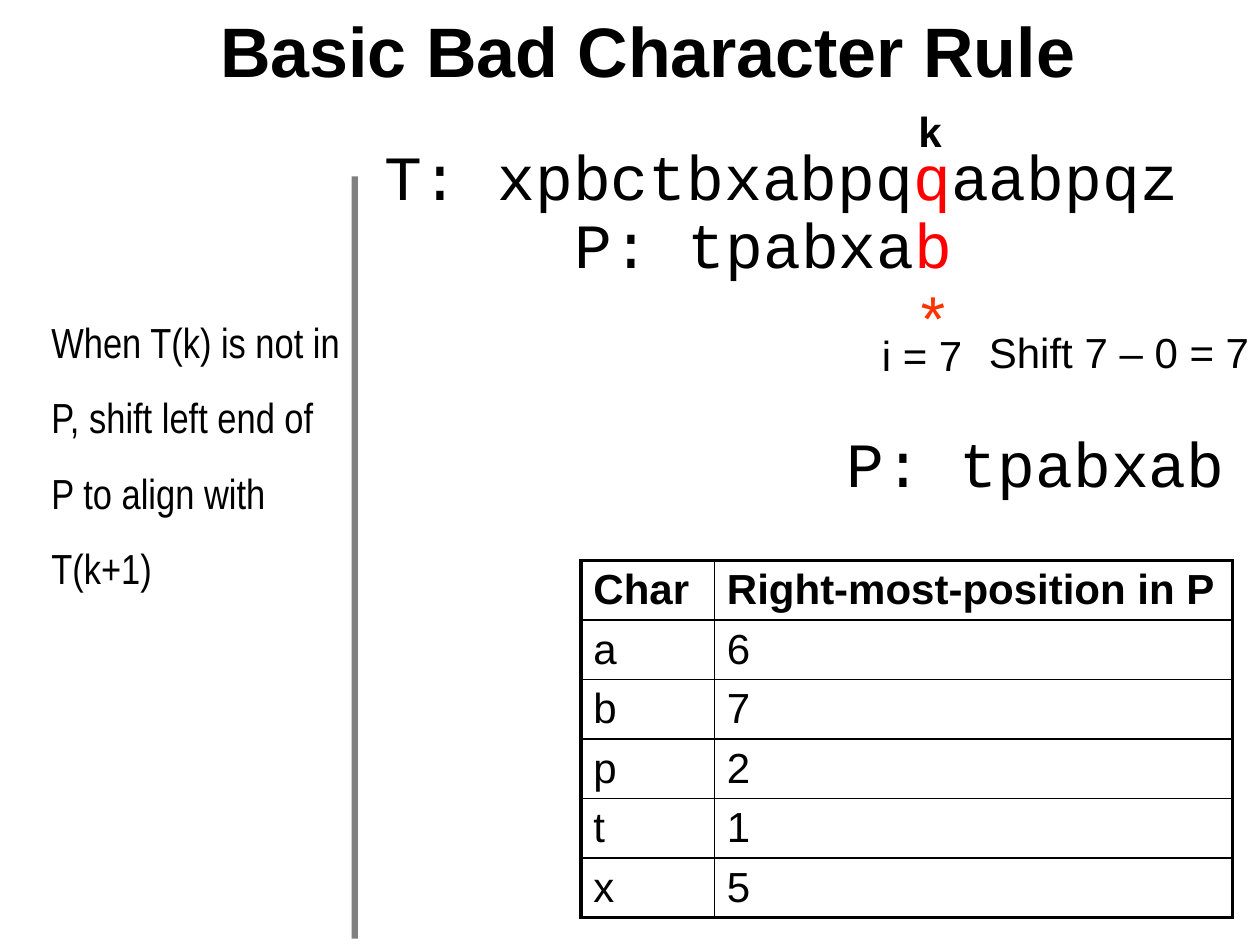
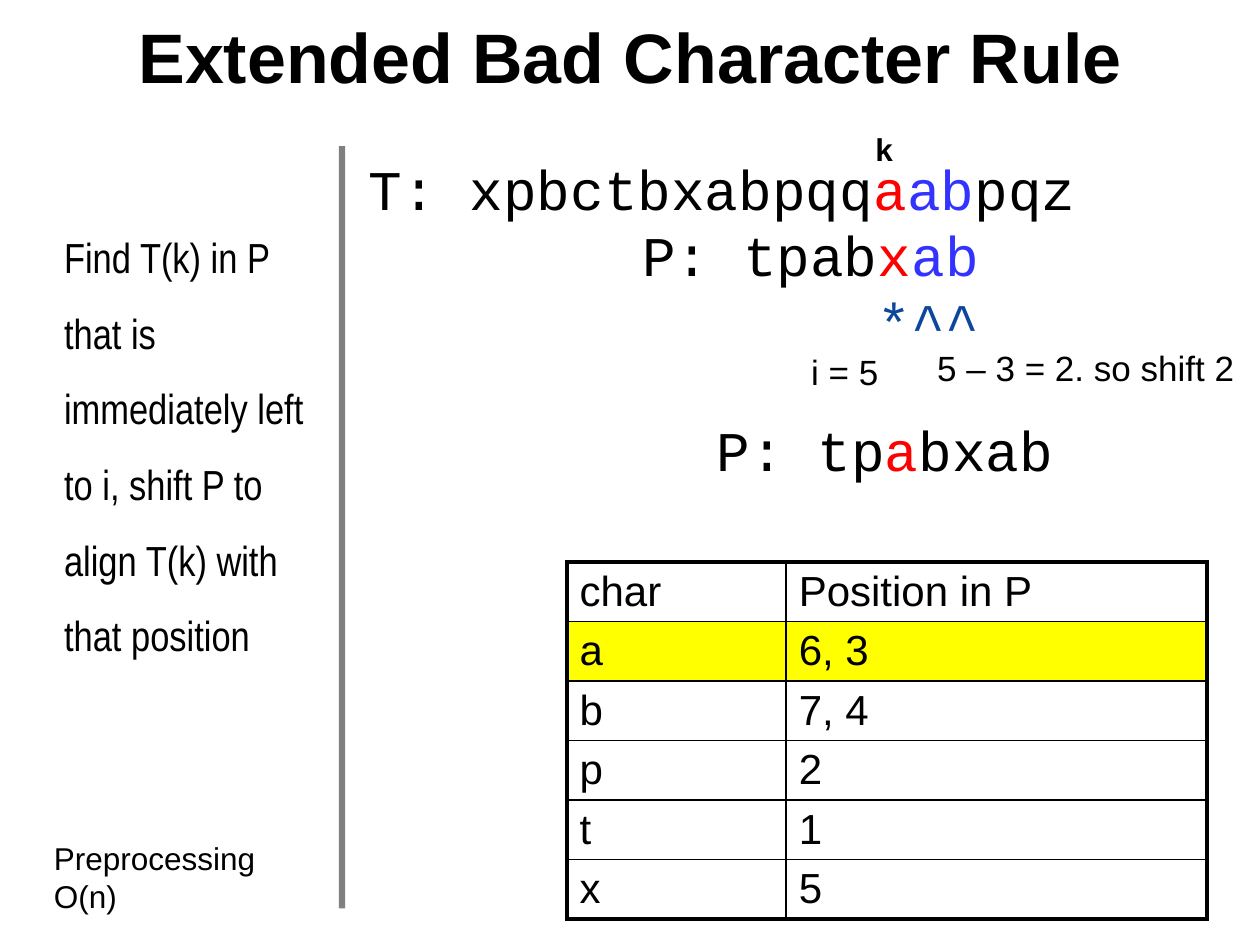
from dataclasses import dataclass
from lxml.etree import SubElement
from pptx import Presentation
from pptx.dml.color import RGBColor
from pptx.enum.shapes import MSO_SHAPE
from pptx.enum.text import MSO_ANCHOR, MSO_AUTO_SIZE, PP_ALIGN
from pptx.oxml.ns import qn
from pptx.util import Inches, Pt


@dataclass(frozen=True)
class Theme:
    black: str = "000000"
    red: str = "FF0000"
    orange: str = "FF3300"
    blue: str = "3333FF"
    navy: str = "0C479D"
    grey: str = "808080"
    yellow: str = "FFFF00"
    sans: str = "Arial"
    narrow: str = "Arial Narrow"
    mono: str = "Courier New"
    title: int = 40
    body: int = 24
    outer: float = 2.25
    inner: float = 1


T = Theme()


def add_text(slide, box, lines, size, font=T.sans, bold=False, wrap=False):
    sp = slide.shapes.add_textbox(*[Inches(v) for v in box])
    tf = sp.text_frame
    tf.word_wrap = wrap
    tf.auto_size = MSO_AUTO_SIZE.SHAPE_TO_FIT_TEXT
    for i, line in enumerate(lines):
        p = tf.paragraphs[0] if i == 0 else tf.add_paragraph()
        p.font.size, p.font.name, p.font.bold = Pt(size), font, bold
        for text, color in line:
            r = p.add_run()
            r.text = text
            r.font.color.rgb = RGBColor.from_string(color)
    return tf


def set_border(cell, side, width):
    ln = SubElement(cell._tc.get_or_add_tcPr(), qn(f"a:{side}"), w=str(Pt(width)))
    fill = SubElement(ln, qn("a:solidFill"))
    SubElement(fill, qn("a:srgbClr"), val=T.black)


slides = [
    dict(
        title="Basic Bad Character Rule", title_box=(0.64, 0, 9, 0.79),
        code_size=36,
        text=((2.95, 1.04, 6.57, 0.71),
              [("T: xpbctbxabpq", T.black), ("q", T.red), ("aabpqz", T.black)]),
        pattern=((4.46, 1.58, 3.23, 1.31), [("P: tpabxa", T.black), ("b", T.red)]),
        marks=[("*", T.orange)],
        shifted=((6.62, 3.32, 3.23, 0.71), [("P: tpabxab", T.black)]),
        rule=((0.31, 2.26, 2.5, 2.45),
              "When T(k) is not in P, shift left end of P to align with T(k+1)"),
        k_box=(7.19, 0.79, 0.39, 0.5), k_size=24,
        label_size=24,
        labels=[((6.9, 2.57, 0.85, 0.5), "i = 7"),
                ((7.75, 2.54, 2.29, 0.5), "Shift 7 – 0 = 7")],
        bar=(2.79, 1.4),
        table_at=(4.61, 4.45), cols=(1.06, 4.11), bold_header=True, highlight=None,
        rows=[("Char", "Right-most-position in P"), ("a", "6"), ("b", "7"),
              ("p", "2"), ("t", "1"), ("x", "5")],
        note=None,
    ),
    dict(
        title="Extended Bad Character Rule", title_box=(0.5, 0.04, 9, 0.8),
        code_size=32,
        text=((2.83, 1.18, 5.87, 0.64),
              [("T: xpbctbxabpqq", T.black), ("a", T.red), ("ab", T.blue),
               ("pqz", T.black)]),
        pattern=((5, 1.7, 2.9, 1.18),
                 [("P: tpab", T.black), ("x", T.red), ("ab", T.blue)]),
        marks=[("*^^", T.navy)],
        shifted=((5.59, 3.25, 2.9, 0.64),
                 [("P: tp", T.black), ("a", T.red), ("bxab", T.black)]),
        rule=((0.41, 1.59, 2.19, 3.66),
              "Find T(k) in P that is immediately left to i, shift P to align "
              "T(k) with that position"),
        k_box=(6.85, 0.98, 0.34, 0.4), k_size=18,
        label_size=20,
        labels=[((6.34, 2.73, 0.74, 0.44), "i = 5"),
                ((7.34, 2.7, 2.57, 0.44), "5 – 3 = 2. so shift 2")],
        bar=(2.69, 1.16),
        table_at=(4.5, 4.46), cols=(1.74, 3.34), bold_header=False, highlight=1,
        rows=[("char", "Position in P"), ("a", "6, 3"), ("b", "7, 4"),
              ("p", "2"), ("t", "1"), ("x", "5")],
        note=((0.33, 6.61, 1.88, 0.71), ["Preprocessing", "O(n)"]),
    ),
]

prs = Presentation()
prs.slide_width, prs.slide_height = Inches(10), Inches(7.5)

for d in slides:
    s = prs.slides.add_slide(prs.slide_layouts[5])

    title = s.shapes.title
    title.left, title.top, title.width, title.height = [Inches(v) for v in d["title_box"]]
    tf = title.text_frame
    tf.text = d["title"]
    tf.auto_size = MSO_AUTO_SIZE.NONE
    tf.vertical_anchor = MSO_ANCHOR.MIDDLE
    p = tf.paragraphs[0]
    p.alignment = PP_ALIGN.CENTER
    p.font.size, p.font.name, p.font.bold = Pt(T.title), T.sans, True
    p.font.color.rgb = RGBColor.from_string(T.black)

    rows, cols = d["rows"], d["cols"]
    x, y = d["table_at"]
    table = s.shapes.add_table(len(rows), len(cols), Inches(x), Inches(y),
                               Inches(sum(cols)), Inches(0.42 * len(rows))).table
    table.first_row = table.horz_banding = False
    for column, width in zip(table.columns, cols):
        column.width = Inches(width)
    for i, row in enumerate(rows):
        for j, value in enumerate(row):
            cell = table.cell(i, j)
            cell.text = value
            p = cell.text_frame.paragraphs[0]
            p.font.size, p.font.name = Pt(T.body), T.sans
            p.font.bold = d["bold_header"] and i == 0
            p.font.color.rgb = RGBColor.from_string(T.black)
            edges = [("lnL", j == 0), ("lnR", j == len(cols) - 1),
                     ("lnT", i == 0), ("lnB", i == len(rows) - 1)]
            for side, is_outer in edges:
                set_border(cell, side, T.outer if is_outer else T.inner)
            if i == d["highlight"]:
                cell.fill.solid()
                cell.fill.fore_color.rgb = RGBColor.from_string(T.yellow)
            else:
                cell.fill.background()

    box, runs = d["text"]
    add_text(s, box, [runs], d["code_size"], T.mono)
    box, runs = d["pattern"]
    tf = add_text(s, box, [runs, d["marks"]], d["code_size"], T.mono)
    tf.paragraphs[1].alignment = PP_ALIGN.RIGHT
    box, runs = d["shifted"]
    add_text(s, box, [runs], d["code_size"], T.mono)

    box, rule = d["rule"]
    tf = add_text(s, box, [[(rule, T.black)]], T.body, T.narrow, wrap=True)
    tf.paragraphs[0].line_spacing = 1.5

    add_text(s, d["k_box"], [[("k", T.black)]], d["k_size"], bold=True)
    for box, label in d["labels"]:
        add_text(s, box, [[(label, T.black)]], d["label_size"])
    if d["note"]:
        box, lines = d["note"]
        add_text(s, box, [[(line, T.black)] for line in lines], 18)

    x, y = d["bar"]
    bar = s.shapes.add_shape(MSO_SHAPE.RECTANGLE, Inches(x), Inches(y),
                             Inches(0.05), Inches(6.05))
    bar.shadow.inherit = False
    bar.fill.solid()
    bar.fill.fore_color.rgb = RGBColor.from_string(T.grey)
    bar.line.fill.background()

prs.save("out.pptx")
